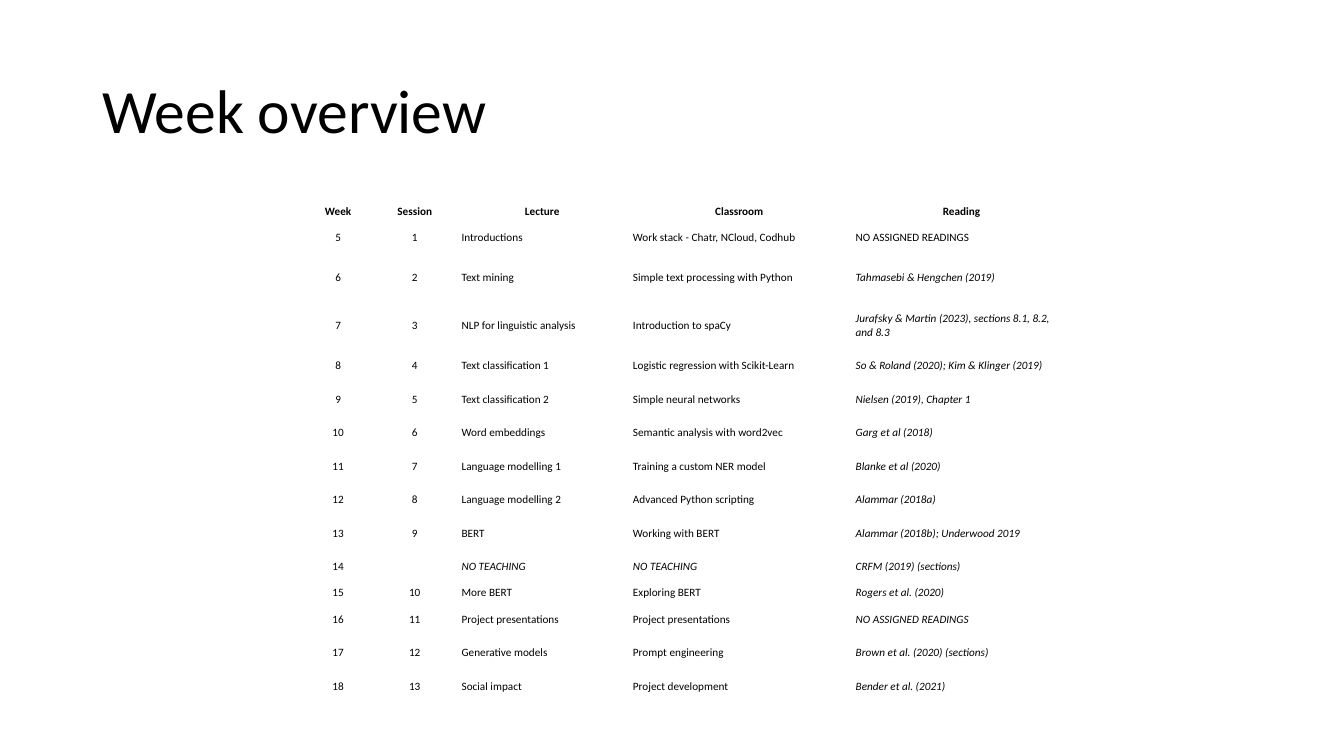
from dataclasses import dataclass

from pptx import Presentation
from pptx.dml.color import RGBColor
from pptx.enum.text import MSO_ANCHOR, PP_ALIGN
from pptx.util import Pt

MIDDLE = MSO_ANCHOR.MIDDLE
CENTER = PP_ALIGN.CENTER
LEFT = PP_ALIGN.LEFT


@dataclass(frozen=True)
class Theme:
    """Font, colours and type sizes of the slide."""
    font: str = "Calibri"
    ink: RGBColor = RGBColor(0, 0, 0)
    title_size: int = 44
    table_size: int = 8


THEME = Theme()
NO_TEACHING = "NO TEACHING"
NO_READINGS = "NO ASSIGNED READINGS"
READING_COLUMN = 4
COLUMN_WIDTHS = (49.68, 59.76, 122.4, 159.12, 158.4)
SHORT, MEDIUM, TALL = 13.68, 23.9, 34
ROW_HEIGHTS = [SHORT, MEDIUM] + [TALL] * 2 + [MEDIUM] * 7 + [SHORT] + [MEDIUM] * 3

HEADER = ("Week", "Session", "Lecture", "Classroom", "Reading")
WEEKS = (
    ("5", "1", "Introductions", "Work stack - Chatr, NCloud, Codhub", NO_READINGS),
    ("6", "2", "Text mining", "Simple text processing with Python", "Tahmasebi & Hengchen (2019)"),
    ("7", "3", "NLP for linguistic analysis", "Introduction to spaCy",
     "Jurafsky & Martin (2023), sections 8.1, 8.2, and 8.3"),
    ("8", "4", "Text classification 1", "Logistic regression with Scikit-Learn",
     "So & Roland (2020); Kim & Klinger (2019)"),
    ("9", "5", "Text classification 2", "Simple neural networks", "Nielsen (2019), Chapter 1"),
    ("10", "6", "Word embeddings", "Semantic analysis with word2vec", "Garg et al (2018)"),
    ("11", "7", "Language modelling 1", "Training a custom NER model", "Blanke et al (2020)"),
    ("12", "8", "Language modelling 2", "Advanced Python scripting", "Alammar (2018a)"),
    ("13", "9", "BERT", "Working with BERT", "Alammar (2018b); Underwood 2019"),
    ("14", "", NO_TEACHING, NO_TEACHING, "CRFM (2019) (sections)"),
    ("15", "10", "More BERT", "Exploring BERT", "Rogers et al. (2020)"),
    ("16", "11", "Project presentations", "Project presentations", NO_READINGS),
    ("17", "12", "Generative models", "Prompt engineering", "Brown et al. (2020) (sections)"),
    ("18", "13", "Social impact", "Project development", "Bender et al. (2021)"),
)


def write(paragraph, text, size, bold=False, italic=False):
    """Put styled text into a paragraph, keeping the size of an empty one."""
    paragraph.text = text
    for run in paragraph.runs:
        font = run.font
        font.name, font.size, font.bold, font.italic = THEME.font, Pt(size), bold, italic
        font.color.rgb = THEME.ink
    if not text:
        paragraph._p.get_or_add_endParaRPr().set("sz", str(size * 100))


def add_title(slide, text):
    """Add the slide heading."""
    shape = slide.shapes.add_textbox(Pt(66), Pt(28.75), Pt(828), Pt(104.4))
    frame = shape.text_frame
    frame.word_wrap = True
    frame.vertical_anchor = MIDDLE
    paragraph = frame.paragraphs[0]
    paragraph.line_spacing = 0.9
    write(paragraph, text, THEME.title_size)


def fill_cell(cell, text, row, column):
    """Set the text and look of a cell from its place in the table."""
    cell.fill.background()
    cell.vertical_anchor = MIDDLE
    cell.margin_left = cell.margin_right = Pt(3.6)
    cell.margin_top = cell.margin_bottom = Pt(1.44)
    is_header = row == 0
    is_reading = column == READING_COLUMN and row > 1
    paragraph = cell.text_frame.paragraphs[0]
    paragraph.alignment = CENTER if is_header or column < 2 else LEFT
    write(paragraph, text, THEME.table_size, is_header, is_reading or text == NO_TEACHING)


def add_schedule(slide, rows):
    """Add the week table."""
    shape = slide.shapes.add_table(len(rows), len(COLUMN_WIDTHS), Pt(216.72), Pt(144),
                                   Pt(sum(COLUMN_WIDTHS)), Pt(sum(ROW_HEIGHTS)))
    table = shape.table
    table.first_row = table.horz_banding = False
    for column, width in zip(table.columns, COLUMN_WIDTHS):
        column.width = Pt(width)
    for row, height in zip(table.rows, ROW_HEIGHTS):
        row.height = Pt(height)
    for row_index, texts in enumerate(rows):
        for column_index, text in enumerate(texts):
            fill_cell(table.cell(row_index, column_index), text, row_index, column_index)


def main():
    """Build and save the slide."""
    presentation = Presentation()
    presentation.slide_width, presentation.slide_height = Pt(960), Pt(540)
    slide = presentation.slides.add_slide(presentation.slide_layouts[6])
    add_title(slide, "Week overview")
    add_schedule(slide, (HEADER,) + WEEKS)
    presentation.save("out.pptx")


if __name__ == "__main__":
    main()
